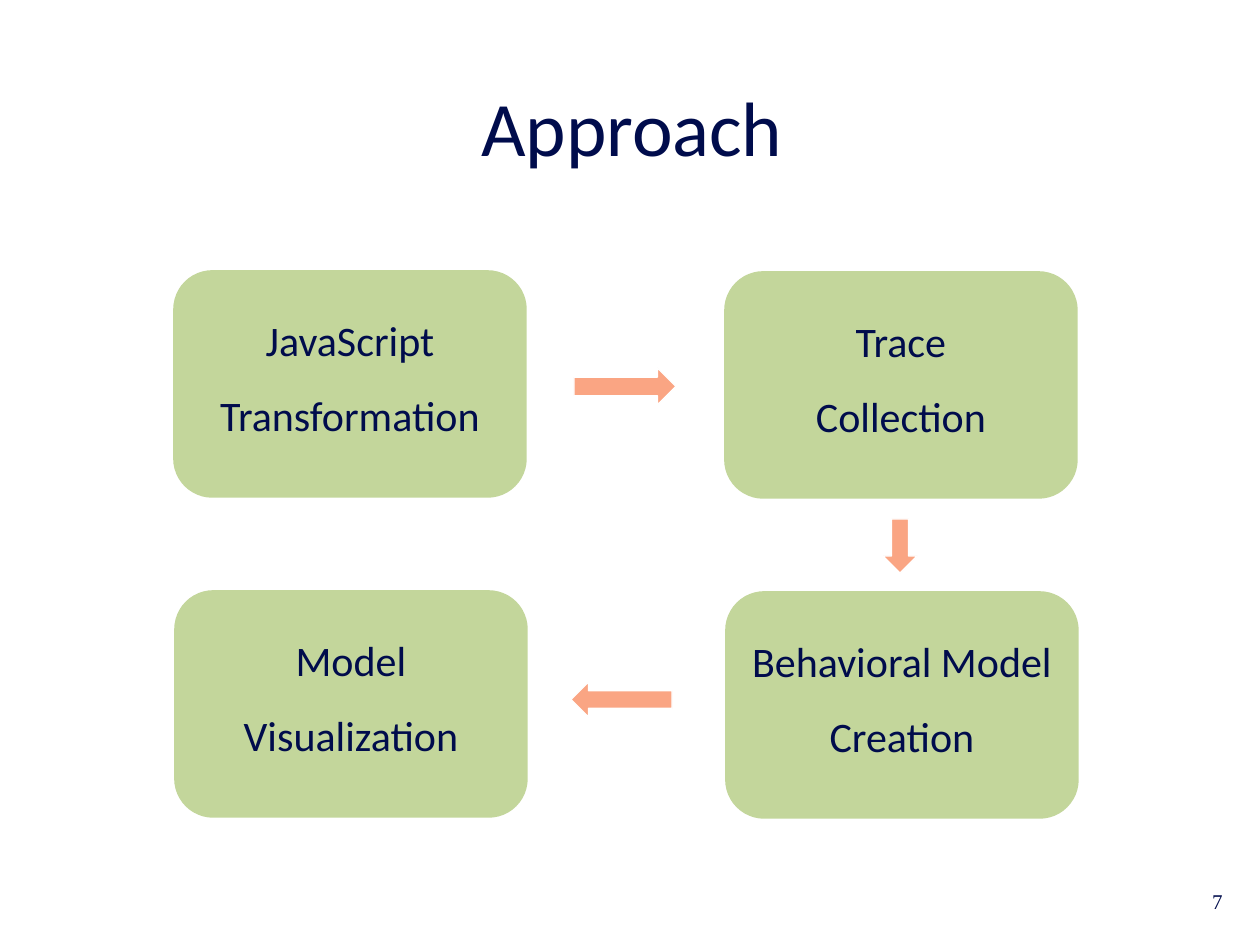
from pptx import Presentation
from pptx.dml.color import RGBColor
from pptx.enum.shapes import MSO_SHAPE
from pptx.enum.text import MSO_ANCHOR, PP_ALIGN
from pptx.util import Pt

SCALE = 914400 / 126  # EMU per px
NAVY = RGBColor(0x00, 0x0C, 0x4C)
GREEN = RGBColor(0xC3, 0xD6, 0x9B)
CORAL = RGBColor(0xFA, 0xA5, 0x83)
WHITE = RGBColor(0xFF, 0xFF, 0xFF)


def px(*sizes):
    return [round(size * SCALE) for size in sizes]


def write(shape, lines, anchor, align, space, font):
    frame = shape.text_frame
    frame.word_wrap = True
    frame.vertical_anchor = anchor
    frame.text = "\n".join(lines)
    for para in frame.paragraphs:
        para.alignment = align
        para.line_spacing = space
        para.font.color.rgb = NAVY
        for name, value in font.items():
            setattr(para.font, name, value)


deck = Presentation()
deck.slide_width, deck.slide_height = px(1260, 945)
slide = deck.slides.add_slide(deck.slide_layouts[6])
shapes = slide.shapes

# Title and page number
labels = [
    ("Approach", (132, 47, 1000, 158), PP_ALIGN.CENTER,
     {"name": "Calibri", "size": Pt(44)}),
    ("7", (835, 876, 400, 50), PP_ALIGN.RIGHT,
     {"name": "Times New Roman", "size": Pt(12)}),
]
for text, area, align, font in labels:
    box = shapes.add_textbox(*px(*area))
    write(box, [text], MSO_ANCHOR.MIDDLE, align, 1.0, font)

# Steps
steps = [
    (175, 272, ["JavaScript Transformation"]),
    (726, 273, ["Trace", "Collection"]),
    (176, 592, ["Model", "Visualization"]),
    (727, 593, ["Behavioral Model Creation"]),
]
for left, top, lines in steps:
    step = shapes.add_shape(
        MSO_SHAPE.ROUNDED_RECTANGLE, *px(left, top, 350, 224))
    step.shadow.inherit = False
    step.fill.solid()
    step.fill.fore_color.rgb = GREEN
    step.line.color.rgb = GREEN
    step.line.width = Pt(2)
    write(step, lines, MSO_ANCHOR.TOP, PP_ALIGN.CENTER, 1.5,
          {"name": "Calibri", "size": Pt(24)})

# Arrows between the steps
arrows = [
    ((574, 368, 102, 37), 0),
    ((571, 682, 101, 35), 180),
    ((873, 529, 54, 34), 90),
]
for area, turn in arrows:
    arrow = shapes.add_shape(MSO_SHAPE.RIGHT_ARROW, *px(*area))
    arrow.rotation = turn
    arrow.shadow.inherit = False
    arrow.fill.solid()
    arrow.fill.fore_color.rgb = CORAL
    arrow.line.color.rgb = WHITE
    arrow.line.width = Pt(0.75)

deck.save("out.pptx")
